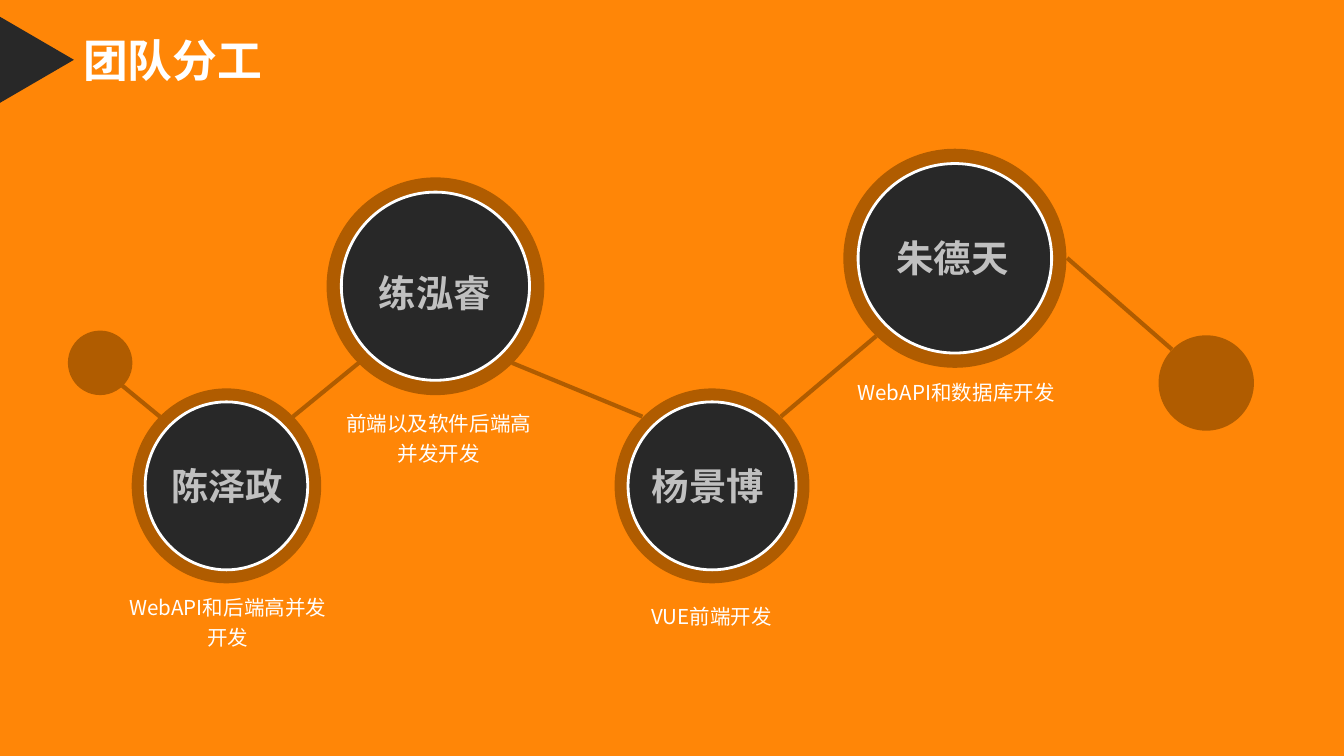
from dataclasses import dataclass

from lxml.etree import SubElement
from pptx import Presentation
from pptx.dml.color import RGBColor
from pptx.enum.shapes import MSO_CONNECTOR, MSO_SHAPE
from pptx.enum.text import MSO_AUTO_SIZE, PP_ALIGN
from pptx.oxml.ns import qn
from pptx.util import Inches, Pt


@dataclass(frozen=True)
class Theme:
    orange: str = "FF8607"
    brown: str = "B05C00"
    dark: str = "282828"
    white: str = "FFFFFF"
    silver: str = "C0C0C0"
    heading_font: str = "Arial Narrow"
    body_font: str = "Noto Sans CJK SC"
    title_size: int = 24
    name_size: int = 20
    duty_size: int = 11
    duty_spacing: int = 16
    outline: float = 1.5
    link: float = 2.25


@dataclass(frozen=True)
class Member:
    name: str
    duty: str
    center: tuple
    ring: tuple
    inset: float
    name_box: tuple
    duty_box: tuple


COLUMNS, ROWS = 100, 56.25
MEMBERS = [
    Member("陈泽政", "WebAPI和后端高并发开发", (16.85, 36.15), (14.1, 14.5), 1,
           (11.4, 34, 11, 4.4), (8.5, 43.4, 16.9, 5.5)),
    Member("练泓睿", "前端以及软件后端高并发开发", (32.4, 21.3), (16.2, 16.2), 1.1,
           (27.1, 19.6, 10.5, 4.4), (24.2, 29.7, 16.9, 5.5)),
    Member("杨景博 ", "VUE前端开发", (52.98, 36.15), (14.5, 14.5), 1,
           (47.5, 34, 11, 4.4), (44.5, 44.1, 16.9, 3.2)),
    Member("朱德天 ", "WebAPI和数据库开发", (71.05, 19.22), (16.6, 16.3), 1.1,
           (65.7, 17, 11, 4.4), (62.7, 27.4, 16.9, 5.5)),
]
END_DOTS = [((7.45, 27), 4.8), ((89.75, 28.5), 7.1)]
LINKS = [
    ((9.1, 28.7), (11.9, 31)),
    ((21.8, 31), (26.7, 27)),
    ((38.1, 27), (47.8, 31)),
    ((58.1, 31), (65.2, 25)),
    ((79.4, 19.2), (87.2, 26)),
]


class SlideBuilder:
    def __init__(self, deck, theme):
        self.theme = theme
        self.cell_width = deck.slide_width / COLUMNS
        self.cell_height = deck.slide_height / ROWS
        self.page = deck.slides.add_slide(deck.slide_layouts[6])

    def place(self, columns, rows):
        return round(columns * self.cell_width), round(rows * self.cell_height)

    def shape(self, kind, box, fill, outline=None, rotation=0):
        left, top, width, height = box
        shape = self.page.shapes.add_shape(
            kind, *self.place(left, top), *self.place(width, height))
        shape.shadow.inherit = False
        shape.rotation = rotation
        shape.fill.solid()
        shape.fill.fore_color.rgb = RGBColor.from_string(fill)
        if outline:
            shape.line.color.rgb = RGBColor.from_string(outline)
            shape.line.width = Pt(self.theme.outline)
        else:
            shape.line.fill.background()

    def disc(self, center, size, fill, outline=None):
        (x, y), (width, height) = center, size
        box = (x - width / 2, y - height / 2, width, height)
        self.shape(MSO_SHAPE.OVAL, box, fill, outline)

    def link(self, start, end):
        line = self.page.shapes.add_connector(
            MSO_CONNECTOR.STRAIGHT, *self.place(*start), *self.place(*end))
        line.line.color.rgb = RGBColor.from_string(self.theme.brown)
        line.line.width = Pt(self.theme.link)
        SubElement(line._element.spPr, qn("a:effectLst"))

    def text(self, words, box, size, color, font=None, bold=False,
             align=PP_ALIGN.CENTER, wrap=False, spacing=None):
        left, top, width, height = box
        frame = self.page.shapes.add_textbox(
            *self.place(left, top), *self.place(width, height)).text_frame
        frame.word_wrap = wrap
        frame.auto_size = MSO_AUTO_SIZE.SHAPE_TO_FIT_TEXT
        frame.text = words
        para = frame.paragraphs[0]
        para.alignment = align
        if spacing:
            para.line_spacing = Pt(spacing)
        span = para.runs[0]
        span.font.size = Pt(size)
        span.font.bold = bold
        span.font.name = font or self.theme.body_font
        span.font.color.rgb = RGBColor.from_string(color)
        east_asian = SubElement(span.font._element, qn("a:ea"))
        east_asian.set("typeface", self.theme.body_font)

    def title(self, words):
        theme = self.theme
        self.shape(MSO_SHAPE.ISOSCELES_TRIANGLE, (-0.45, 1.7, 6.4, 5.5),
                   theme.dark, rotation=90)
        self.text(words, (5.2, 1.95, 15.3, 5), theme.title_size, theme.white,
                  font=theme.heading_font, bold=True, align=PP_ALIGN.LEFT)

    def member(self, member):
        theme = self.theme
        inner = [length - 2 * member.inset for length in member.ring]
        self.disc(member.center, member.ring, theme.brown)
        self.disc(member.center, inner, theme.dark, theme.white)
        self.text(member.name, member.name_box, theme.name_size,
                  theme.silver, bold=True)
        self.text(member.duty, member.duty_box, theme.duty_size,
                  theme.white, wrap=True, spacing=theme.duty_spacing)


def main():
    deck = Presentation()
    deck.slide_width, deck.slide_height = Inches(10), Inches(5.625)
    theme = Theme()
    builder = SlideBuilder(deck, theme)
    builder.shape(MSO_SHAPE.RECTANGLE, (0, 0, COLUMNS, ROWS), theme.orange)
    builder.title("团队分工")
    for member in MEMBERS:
        builder.member(member)
    for center, diameter in END_DOTS:
        builder.disc(center, (diameter, diameter), theme.brown)
    for start, end in LINKS:
        builder.link(start, end)
    deck.save("out.pptx")


if __name__ == "__main__":
    main()
